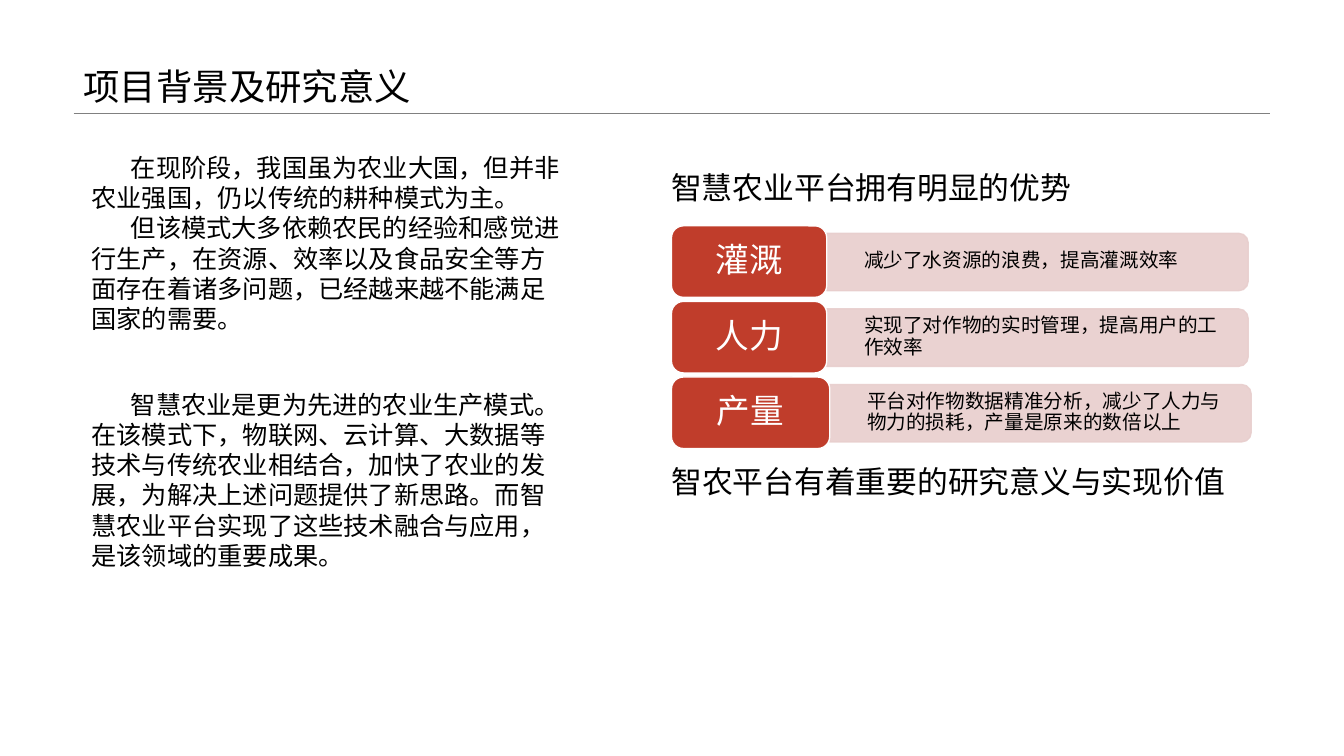
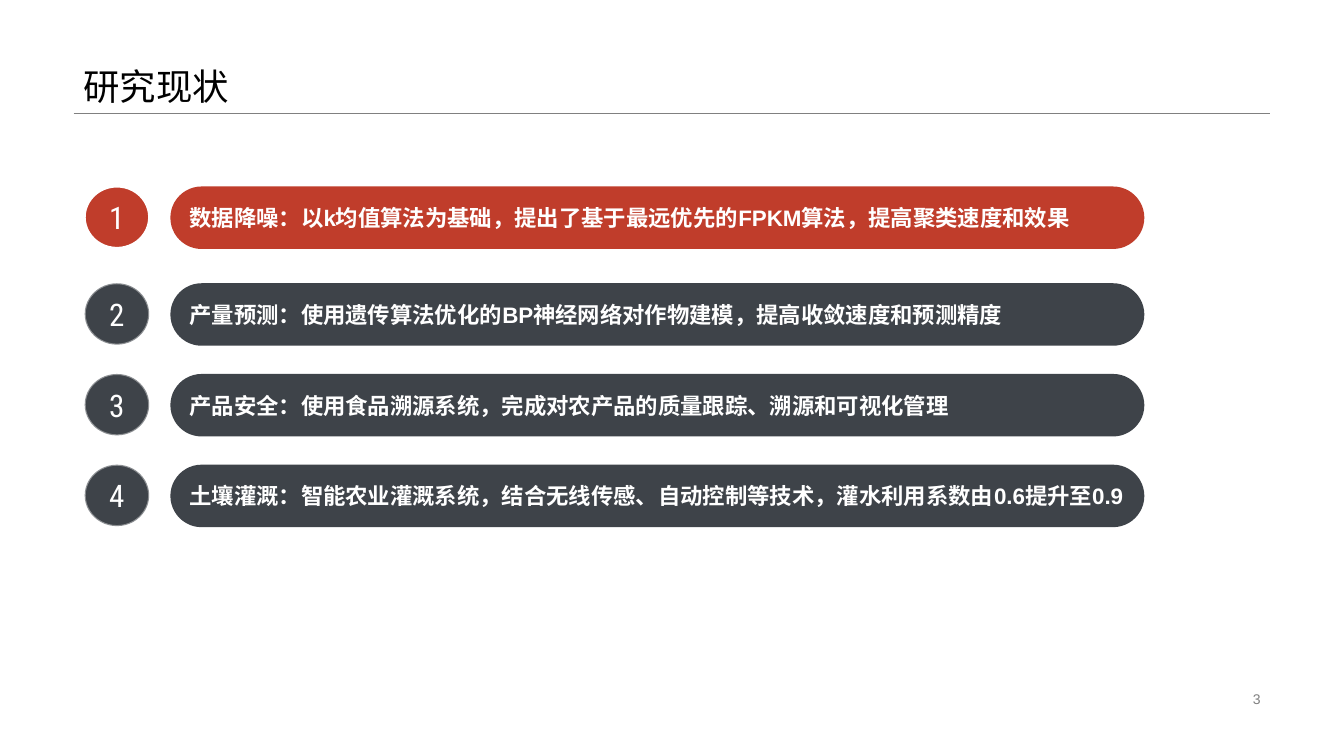
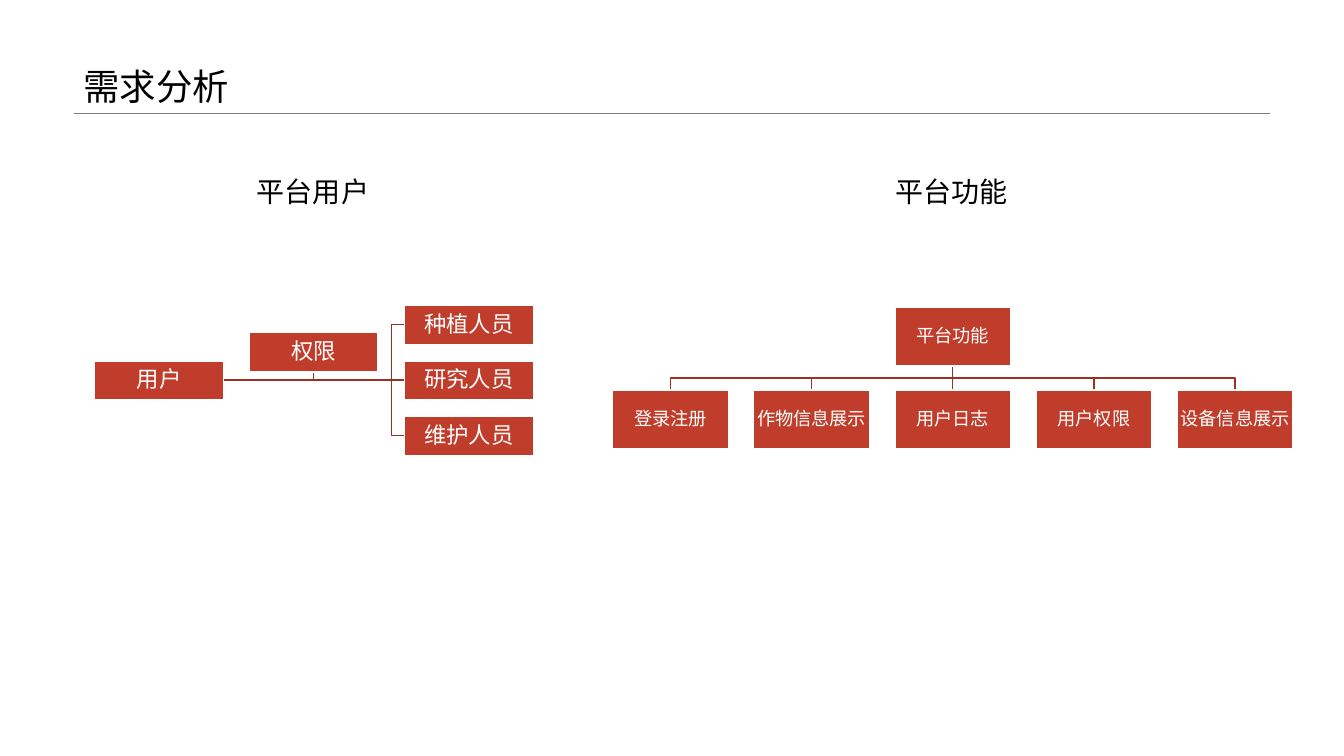
import pptx
import pptx.util
import pptx.dml.color
import pptx.enum.shapes
import pptx.enum.text
import pptx.oxml
import pptx.oxml.ns

Inches = pptx.util.Inches
Pt = pptx.util.Pt
RGBColor = pptx.dml.color.RGBColor
MSO_SHAPE = pptx.enum.shapes.MSO_SHAPE
ANCHOR = pptx.enum.text.MSO_ANCHOR
ALIGN = pptx.enum.text.PP_ALIGN

BLACK = RGBColor(0x00, 0x00, 0x00)
WHITE = RGBColor(0xFF, 0xFF, 0xFF)
GREY = RGBColor(0x80, 0x80, 0x80)
RED = RGBColor(0xC0, 0x3D, 0x2B)
DARK_RED = RGBColor(0x9A, 0x31, 0x22)
PINK = RGBColor(0xE8, 0xCE, 0xCD)
SLATE = RGBColor(0x3E, 0x43, 0x49)

FONT = "Arial"
NUMBER_FONT = "Roboto Condensed"


class Deck:
    def __init__(self):
        self.prs = pptx.Presentation()
        self.prs.slide_width = Inches(13.33)
        self.prs.slide_height = Inches(7.5)
        self.s = None

    def slide(self, title):
        self.s = self.prs.slides.add_slide(self.prs.slide_layouts[6])
        self.line(0.73, 1.12, 12.6, 1.12, GREY, 0.25)
        self.text(0.73, 0, 11.87, 1.12, title, 26, anchor=ANCHOR.BOTTOM, spacing=0.9)

    def set_text(self, sp, text, size, color=BLACK, align=ALIGN.LEFT, anchor=ANCHOR.MIDDLE,
                 font=FONT, bold=False, wrap=True, spacing=None, indent=0, margins=(0.1, 0.05)):
        tf = sp.text_frame
        tf.text = text
        tf.word_wrap = wrap
        tf.vertical_anchor = anchor
        tf.margin_left = tf.margin_right = Inches(margins[0])
        tf.margin_top = tf.margin_bottom = Inches(margins[1])
        for p in tf.paragraphs:
            p.alignment = align
            if spacing:
                p.line_spacing = spacing
            if indent:
                p._p.get_or_add_pPr().set("indent", str(Inches(indent)))
            for r in p.runs:
                r.font.name = font
                r.font.size = Pt(size)
                r.font.bold = bold
                r.font.color.rgb = color

    def text(self, x, y, w, h, text, size, anchor=ANCHOR.TOP, **style):
        sp = self.s.shapes.add_textbox(Inches(x), Inches(y), Inches(w), Inches(h))
        self.set_text(sp, text, size, anchor=anchor, **style)
        return sp

    def shape(self, kind, x, y, w, h, fill, line=None, width=1):
        sp = self.s.shapes.add_shape(kind, Inches(x), Inches(y), Inches(w), Inches(h))
        sp.shadow.inherit = False
        sp.fill.solid()
        sp.fill.fore_color.rgb = fill
        if line is None:
            sp.line.fill.background()
        else:
            sp.line.color.rgb = line
            sp.line.width = Pt(width)
        return sp

    def fade(self, element, percent):
        for clr in element.iter(pptx.oxml.ns.qn("a:srgbClr")):
            alpha = clr.makeelement(pptx.oxml.ns.qn("a:alpha"), {"val": str(percent * 1000)})
            clr.append(alpha)

    def line(self, x1, y1, x2, y2, color=DARK_RED, width=1):
        sp = self.s.shapes.add_connector(pptx.enum.shapes.MSO_CONNECTOR.STRAIGHT,
                                         Inches(x1), Inches(y1), Inches(x2), Inches(y2))
        sp.line.color.rgb = color
        sp.line.width = Pt(width)
        sp._element.spPr.append(pptx.oxml.parse_xml(
            "<a:effectLst %s/>" % pptx.oxml.ns.nsdecls("a")))

    def branch(self, *points):
        pts = [(Inches(x), Inches(y)) for x, y in points]
        fb = self.s.shapes.build_freeform(*pts[0])
        fb.add_line_segments(pts[1:], close=False)
        sp = fb.convert_to_shape()
        sp.shadow.inherit = False
        sp.fill.background()
        sp.line.color.rgb = DARK_RED
        sp.line.width = Pt(1)

    def node(self, x, y, w, h, text, size):
        sp = self.shape(MSO_SHAPE.RECTANGLE, x, y, w, h, RED, WHITE)
        self.set_text(sp, text, size, WHITE, ALIGN.CENTER, spacing=0.9, margins=(0.01, 0.01))

    def advantage(self, y, label_w, label, text):
        x, bar_w, bar_h = 6.66 + label_w, 4.18, 0.57
        bar = self.shape(MSO_SHAPE.ROUND_2_SAME_RECTANGLE, x + (bar_w - bar_h) / 2,
                         y + 0.36 - bar_w / 2, bar_h, bar_w, PINK, PINK)
        bar.rotation = 90
        self.fade(bar._element.spPr, 90)
        self.text(x + 0.1, y + 0.1, 4.05, 0.51, text, 14, ANCHOR.MIDDLE,
                  spacing=0.9, margins=(0.27, 0.05))
        sp = self.shape(MSO_SHAPE.ROUNDED_RECTANGLE, 6.66, y, label_w, 0.71, RED, WHITE)
        self.set_text(sp, label, 24, WHITE, ALIGN.CENTER, spacing=0.9)

    def topic(self, y, number, text, color, faded):
        bar = self.shape(MSO_SHAPE.ROUNDED_RECTANGLE, 1.69, y, 9.66, 0.62, color)
        bar.adjustments[0] = 0.5
        self.set_text(bar, text, 16, WHITE, bold=True, wrap=False)
        dot = self.shape(MSO_SHAPE.OVAL, 0.84, y, 0.64, 0.61, color, WHITE, 1.5)
        if faded:
            self.fade(dot._element.spPr.ln, 40)
        self.set_text(dot, str(number), 22.2, WHITE, ALIGN.CENTER, font=NUMBER_FONT, wrap=False)


def background(d):
    d.slide("项目背景及研究意义")
    d.text(0.81, 1.46, 4.89, 2.52,
           "在现阶段，我国虽为农业大国，但并非农业强国，仍以传统的耕种模式为主。\n"
           "但该模式大多依赖农民的经验和感觉进行生产，在资源、效率以及食品安全等方面"
           "存在着诸多问题，已经越来越不能满足国家的需要。", 18, indent=0.39)
    d.text(0.81, 3.81, 4.89, 1.92,
           "智慧农业是更为先进的农业生产模式。在该模式下，物联网、云计算、大数据等技术"
           "与传统农业相结合，加快了农业的发展，为解决上述问题提供了新思路。而智慧农业平台"
           "实现了这些技术融合与应用，是该领域的重要成果。", 18, indent=0.39)
    d.text(6.56, 1.62, 4.64, 0.47, "智慧农业平台拥有明显的优势", 22)
    advantages = [
        (1.54, "灌溉", "减少了水资源的浪费，提高灌溉效率"),
        (1.54, "人力", "实现了对作物的实时管理，提高用户的工作效率"),
        (1.57, "产量", "平台对作物数据精准分析，减少了人力与物力的损耗，产量是原来的数倍以上"),
    ]
    for i, (label_w, label, text) in enumerate(advantages):
        d.advantage(2.24 + 0.75 * i, label_w, label, text)
    d.text(6.56, 4.54, 6.28, 0.47, "智农平台有着重要的研究意义与实现价值", 22)


def research(d):
    d.slide("研究现状")
    d.text(9.42, 6.82, 3.18, 0.23, "3", 10, ANCHOR.MIDDLE, color=GREY, align=ALIGN.RIGHT)
    topics = [
        (1.85, "数据降噪：以k均值算法为基础，提出了基于最远优先的FPKM算法，提高聚类速度和效果"),
        (2.81, "产量预测：使用遗传算法优化的BP神经网络对作物建模，提高收敛速度和预测精度"),
        (3.71, "产品安全：使用食品溯源系统，完成对农产品的质量跟踪、溯源和可视化管理"),
        (4.61, "土壤灌溉：智能农业灌溉系统，结合无线传感、自动控制等技术，灌水利用系数由0.6提升至0.9"),
    ]
    for n, (y, text) in enumerate(topics, 1):
        d.topic(y, n, text, RED if n == 1 else SLATE, n > 1)


def requirements(d):
    d.slide("需求分析")
    d.text(2.45, 1.68, 1.5, 0.44, "平台用户", 20)
    d.text(8.78, 1.68, 1.5, 0.44, "平台功能", 20)

    w, h, mid = 1.28, 0.39, 3.77
    d.branch((2.22, mid), (3.11, mid), (3.11, 3.69))
    d.line(2.22, mid, 4.01, mid)
    for y in (mid - 0.55, mid + 0.55):
        d.branch((2.22, mid), (3.88, mid), (3.88, y), (4.01, y))
    d.node(0.94, 3.58, w, h, "用户", 16)
    for i, role in enumerate(["种植人员", "研究人员", "维护人员"]):
        d.node(4.01, 3.03 + 0.55 * i, w, h, role, 16)
    d.node(2.47, 3.3, w, h, "权限", 16)

    w, h, pitch, root = 1.15, 0.58, 1.4, 9.45
    features = ["登录注册", "作物信息展示", "用户日志", "用户权限", "设备信息展示"]
    offsets = [pitch * (i - 2) for i in range(len(features))]
    for dx in offsets:
        if dx:
            d.branch((root, 3.63), (root, 3.75), (root + dx, 3.75), (root + dx, 3.87))
    d.line(root, 3.63, root, 3.87)
    d.node(root - w / 2, 3.05, w, h, "平台功能", 13)
    for dx, feature in zip(offsets, features):
        d.node(root + dx - w / 2, 3.87, w, h, feature, 13)


def main():
    d = Deck()
    background(d)
    research(d)
    requirements(d)
    d.prs.save("out.pptx")


if __name__ == "__main__":
    main()
